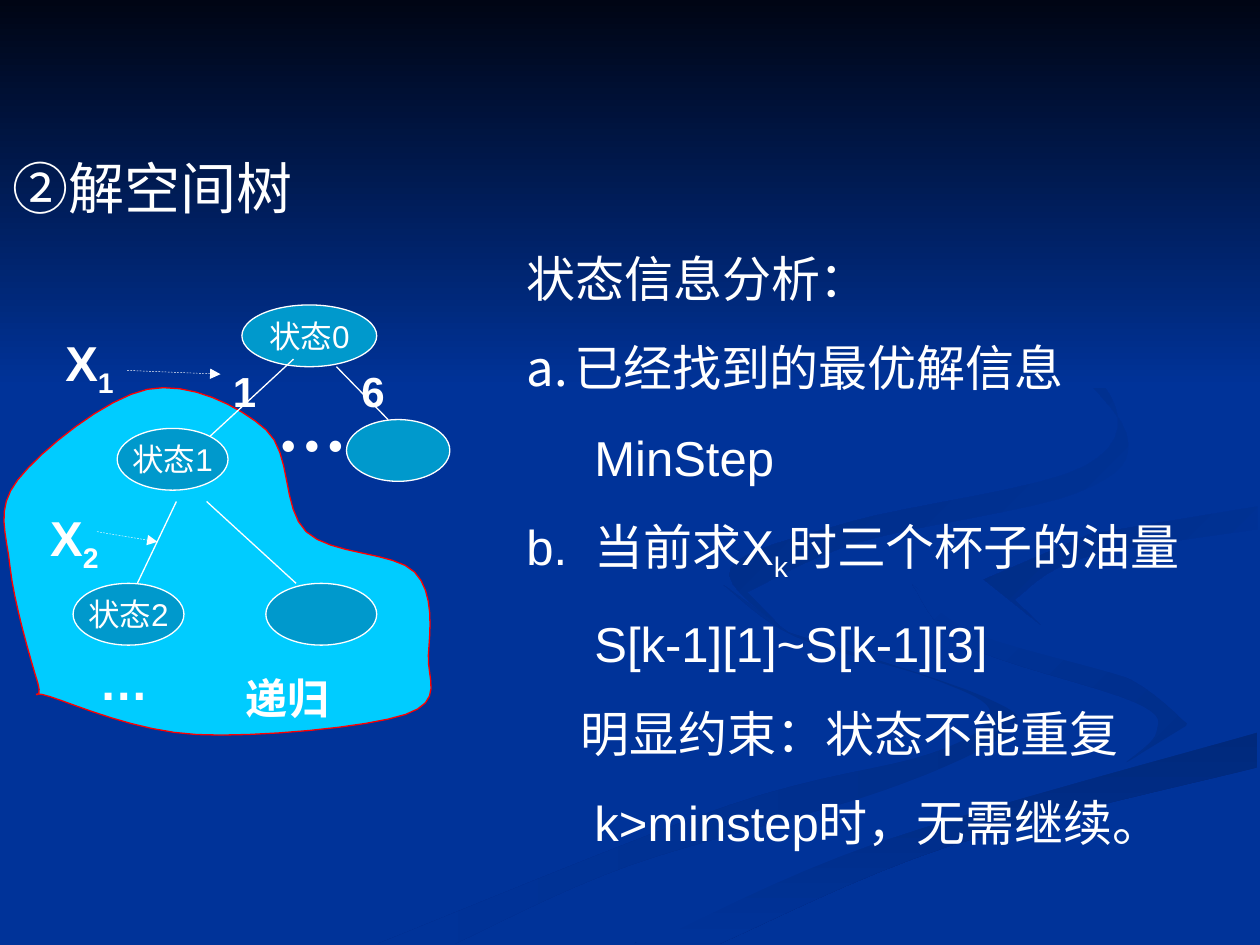
import pptx
import pptx.dml.color
import pptx.enum.dml
import pptx.enum.shapes
import pptx.enum.text
import pptx.oxml
import pptx.oxml.ns
import pptx.util

SCALE = 9144
COLORS = {
    "night": "000514", "base": "003399", "left": "002E8A", "floor": "00297C",
    "right": "002C85", "curl": "002B81", "node": "0099CC", "region": "00CCFF",
    "outline": "FF0000", "white": "FFFFFF",
}
SHAPES = pptx.enum.shapes.MSO_SHAPE
ALIGN = pptx.enum.text.PP_ALIGN
ANCHOR = pptx.enum.text.MSO_ANCHOR

RIBBONS = [
    ("left", "base", 180, [
        [(574, 464), (631, 505), (741, 539), (786, 566), (739, 598), (579, 639), (300, 749)],
        [(361, 749), (499, 687), (699, 628), (800, 581), (781, 553), (626, 502)]]),
    ("left", "base", 225, [
        [(724, 464), (766, 512), (900, 557), (918, 581), (894, 605)],
        [(943, 575), (888, 535), (774, 503)]]),
    ("floor", "base", 90, [
        [(503, 749), (696, 669), (998, 581)], [(998, 609), (752, 672), (571, 749)]]),
    ("base", "base", 0, [
        [(725, 464), (775, 503), (931, 553), (902, 603), (663, 668), (477, 749)],
        [(519, 747), (696, 669), (999, 581)],
        [(999, 538), (817, 492), (792, 447), (999, 402)], [(999, 387), (788, 422)]]),
    ("base", "right", 225, [
        [(781, 460), (826, 496)], [(805, 476), (859, 443), (998, 420)],
        [(998, 402), (865, 424)]]),
    ("base", "curl", 225, [
        [(762, 233), (876, 306), (861, 370), (676, 414), (580, 451), (622, 500)],
        [(593, 470), (683, 430), (855, 391), (894, 344), (821, 261)]]),
]
REGION = [(30, 342), (8, 250), (14, 181), (117, 109), (211, 141), (243, 222),
          (329, 254), (340, 320), (322, 367), (156, 383), (40, 353)]


def px(value):
    return pptx.util.Emu(round(value * SCALE))


def color(name):
    return pptx.dml.color.RGBColor.from_string(COLORS[name])


def place(box, left, top, width, height):
    return px(box[0] + left), px(box[1] + top), px(width), px(height)


def paint(shape, fill, line=None):
    shape.shadow.inherit = False
    shape.fill.solid()
    shape.fill.fore_color.rgb = color(fill)
    if line:
        shape.line.color.rgb = color(line)
        shape.line.width = pptx.util.Pt(0.75)
    else:
        shape.line.fill.background()


def paint_gradient(shape, start, end, angle):
    paint(shape, start)
    if start == end:
        return
    shape.fill.gradient()
    shape.fill.gradient_angle = (360 - angle) % 360
    for stop, name in zip(shape.fill.gradient_stops, (start, end)):
        stop.color.rgb = color(name)


def smooth(knots, closed=False, steps=8):
    if closed:
        knots = [knots[-1], *knots, *knots[:2]]
    else:
        knots = [knots[0], *knots, knots[-1]]
    points = [knots[1]]
    for a, b, c, d in zip(knots, knots[1:], knots[2:], knots[3:]):
        for t in (step / steps for step in range(1, steps + 1)):
            points.append(tuple(
                b[i] + t * (c[i] - a[i]) / 2
                + t * t * (2 * a[i] - 5 * b[i] + 4 * c[i] - d[i]) / 2
                + t ** 3 * (3 * b[i] - a[i] - 3 * c[i] + d[i]) / 2 for i in (0, 1)))
    return points


def add_outline(page, box, points):
    scaled = [(x * SCALE, y * SCALE) for x, y in points]
    builder = page.shapes.build_freeform(*scaled[0], scale=1.0)
    builder.add_line_segments(scaled[1:], close=True)
    return builder.convert_to_shape(px(box[0]), px(box[1]))


def write(para, text, sub="", rest="", size=28, font="Arial", bold=False, align=ALIGN.LEFT,
          margin=0, indent=0, before=0, number=None):
    properties = para._p.get_or_add_pPr()
    properties.set("marL", str(px(margin)))
    properties.set("indent", str(px(indent)))
    if number:
        properties.append(pptx.oxml.parse_xml(
            f'<a:buAutoNum {pptx.oxml.ns.nsdecls("a")} type="{number}"/>'))
    para.alignment = align
    para.space_before = pptx.util.Pt(before)
    for content in filter(None, (text, sub, rest)):
        span = para.add_run()
        span.text = content
        span.font.size = pptx.util.Pt(size)
        span.font.name = font
        span.font.bold = bold
        span.font.color.rgb = color("white")
        if content == sub:
            span._r.get_or_add_rPr().set("baseline", "-25000")


def add_text(page, box, area, text, wrap=True, **style):
    frame = page.shapes.add_textbox(*place(box, *area)).text_frame
    frame.word_wrap = wrap
    write(frame.paragraphs[0], text, **style)
    return frame


def add_node(page, box, area, label):
    node = page.shapes.add_shape(SHAPES.OVAL, *place(box, *area))
    paint(node, "node", "white")
    if label:
        node.text_frame.word_wrap = False
        node.text_frame.vertical_anchor = ANCHOR.MIDDLE
        write(node.text_frame.paragraphs[0], label, size=18, align=ALIGN.CENTER)


def add_line(page, box, start, end, arrow=False):
    ends = [px(box[axis] + point[axis]) for point in (start, end) for axis in (0, 1)]
    line = page.shapes.add_connector(pptx.enum.shapes.MSO_CONNECTOR.STRAIGHT, *ends)
    line.line.color.rgb = color("white")
    line.line.width = pptx.util.Pt(0.25 if arrow else 0.75)
    namespace = pptx.oxml.ns.nsdecls("a")
    if arrow:
        line.line.dash_style = pptx.enum.dml.MSO_LINE.DASH
        line.line._get_or_add_ln().append(
            pptx.oxml.parse_xml(f'<a:tailEnd {namespace} type="triangle"/>'))
    line._element.spPr.append(pptx.oxml.parse_xml(f"<a:effectLst {namespace}/>"))


def draw_backdrop(page, box):
    page.background.fill.solid()
    page.background.fill.fore_color.rgb = color("base")
    for start, end, angle, edges in RIBBONS:
        points = [point for edge in edges for point in smooth(edge)]
        paint_gradient(add_outline(page, box, points), start, end, angle)
    sky = page.shapes.add_shape(SHAPES.RECTANGLE, *place(box, 0, 0, box[2], 308))
    paint_gradient(sky, "night", "base", 90)


def draw_heading(page, box):
    add_text(page, box, (0, 0, box[2], box[3]), "②解空间树", size=32, font="Times New Roman")


def draw_tree(page, box):
    paint(add_outline(page, box, smooth(REGION, closed=True)), "region", "outline")
    for left, top, width, label in [(192, 42, 107, "状态0"), (93, 140, 88, "状态1"), (275, 133, 82, ""),
                                    (58, 263, 88, "状态2"), (211, 263, 88, "")]:
        add_node(page, box, (left, top, width, 49), label)
    for start, end in [((233, 85), (167, 146)), ((267, 91), (308, 133)),
                       ((140, 198), (109, 263)), ((164, 198), (235, 263))]:
        add_line(page, box, start, end)
    for left, top, index, start, end in [(42, 59, "1", (101, 94), (175, 97)),
                                         (30, 198, "2", (77, 222), (125, 230))]:
        add_text(page, box, (left, top, 63, 63), "X", sub=index, bold=True)
        add_line(page, box, start, end, arrow=True)
    add_text(page, box, (69, 312, 71, 57), "…", bold=True)
    add_text(page, box, (185, 329, 110, 50), "递归", size=24, bold=True)
    add_text(page, box, (175, 85, 175, 50), "6", size=24, bold=True,
             margin=102, indent=-102, number="arabicPlain")
    add_text(page, box, (210, 98, 70, 77), "…", wrap=False, size=40, font="Times New Roman", bold=True)


def draw_analysis(page, box):
    frame = add_text(page, box, (0, 0, box[2], box[3]), "状态信息分析：")
    for line in [
        dict(text="已经找到的最优解信息", margin=38, indent=-38, number="alphaLcPeriod"),
        dict(text="MinStep", margin=54),
        dict(text="b.\t当前求X", sub="k", rest="时三个杯子的油量", margin=54, indent=-54),
        dict(text="S[k-1][1]~S[k-1][3]", margin=54),
        dict(text="明显约束：状态不能重复", margin=43),
        dict(text="k>minstep时，无需继续。", margin=54),
    ]:
        write(frame.add_paragraph(), before=17.5, **line)


def main():
    deck = pptx.Presentation()
    deck.slide_width, deck.slide_height = px(1000), px(750)
    page = deck.slides.add_slide(deck.slide_layouts[6])
    draw_backdrop(page, (0, 0, 1000, 750))
    draw_heading(page, (0, 117, 1000, 617))
    draw_tree(page, (0, 200, 360, 390))
    draw_analysis(page, (408, 192, 567, 489))
    deck.save("out.pptx")


if __name__ == "__main__":
    main()
